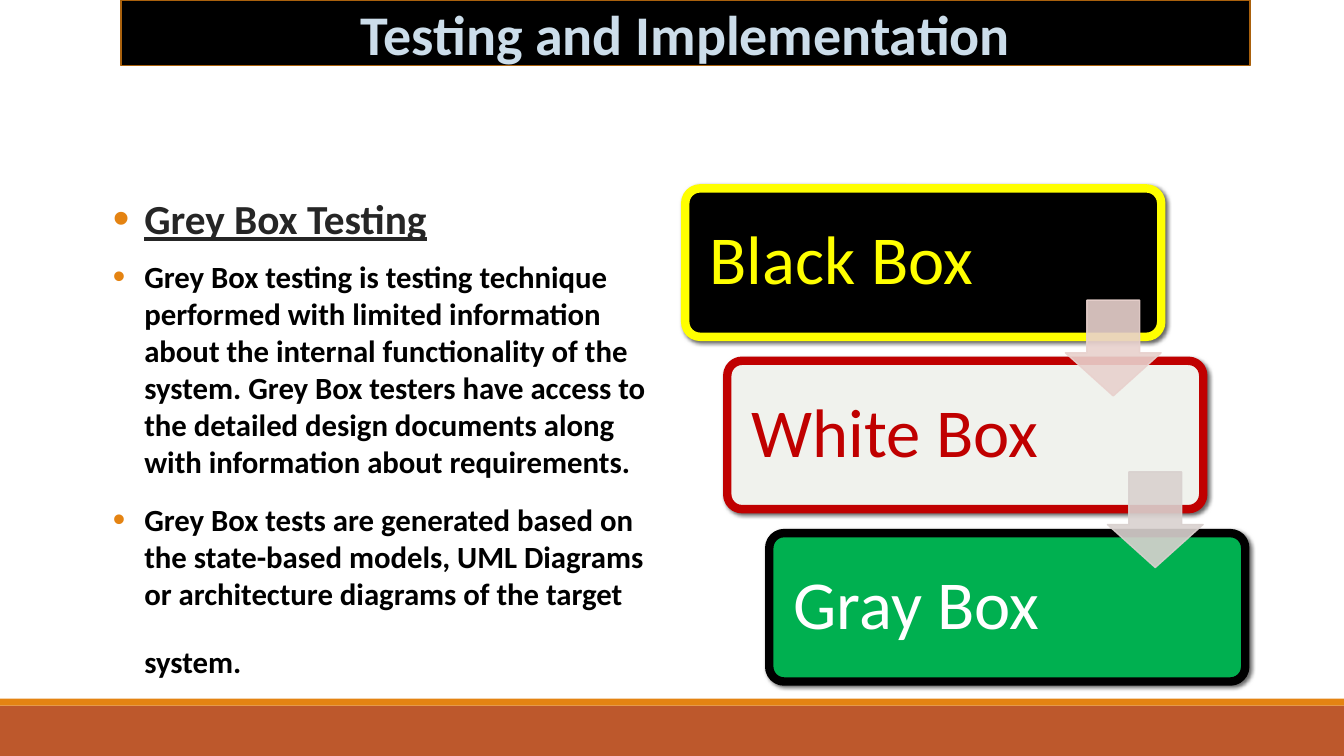
import pptx
import pptx.dml.color
import pptx.enum.shapes
import pptx.enum.text
import pptx.util
import lxml.etree

Pt = pptx.util.Pt
RGB = pptx.dml.color.RGBColor
Kind = pptx.enum.shapes.MSO_SHAPE
Align = pptx.enum.text.PP_ALIGN
Anchor = pptx.enum.text.MSO_ANCHOR
Fit = pptx.enum.text.MSO_AUTO_SIZE

BLACK = RGB(0x00, 0x00, 0x00)
WHITE = RGB(0xFF, 0xFF, 0xFF)
YELLOW = RGB(0xFF, 0xFF, 0x00)
RED = RGB(0xC0, 0x00, 0x00)
GREEN = RGB(0x00, 0xB0, 0x50)
PALE = RGB(0xF0, 0xF2, 0xED)
RUST = RGB(0xBD, 0x58, 0x2C)
ORANGE = RGB(0xE4, 0x83, 0x12)
BROWN = RGB(0xA9, 0x61, 0x0D)
SKY = RGB(0xCC, 0xDD, 0xEA)
COAL = RGB(0x26, 0x26, 0x26)
PINK = RGB(0xE8, 0xD1, 0xCD)
ASH = RGB(0xD9, 0xD1, 0xCF)

NS = "http://schemas.openxmlformats.org/drawingml/2006/main"


def add(parent, tag, **attrs):
    return lxml.etree.SubElement(parent, f"{{{NS}}}{tag}", attrs)


class Deck:
    face = "Calibri"

    def __init__(self):
        self.show = pptx.Presentation()
        self.show.slide_width = Pt(960)
        self.show.slide_height = Pt(540)
        self.slide = self.show.slides.add_slide(self.show.slide_layouts[1])

    def place(self, item, x, y, w, h):
        item.left, item.top, item.width, item.height = Pt(x), Pt(y), Pt(w), Pt(h)

    def paint(self, item, fill, line=None, width=1):
        item.fill.solid()
        item.fill.fore_color.rgb = fill
        if line is None:
            item.line.fill.background()
        else:
            item.line.color.rgb = line
            item.line.width = Pt(width)

    def style(self, font, size, color, bold=False):
        font.name = self.face
        font.size = Pt(size)
        font.color.rgb = color
        font.bold = bold

    def shape(self, kind, x, y, w, h, fill, line=None, width=1):
        item = self.slide.shapes.add_shape(kind, Pt(x), Pt(y), Pt(w), Pt(h))
        item.shadow.inherit = False
        self.paint(item, fill, line, width)
        return item

    def title(self, text, x, y, w, h):
        item = self.slide.shapes.title
        self.place(item, x, y, w, h)
        self.paint(item, BLACK, BROWN, 1.25)
        frame = item.text_frame
        frame.text = text
        frame.auto_size = Fit.NONE
        frame.vertical_anchor = Anchor.MIDDLE
        par = frame.paragraphs[0]
        par.alignment = Align.CENTER
        self.style(par.font, 40, SKY, True)

    def list(self, rows, x, y, w, h):
        item = self.slide.placeholders[1]
        self.place(item, x, y, w, h)
        frame = item.text_frame
        frame.auto_size = Fit.NONE
        frame.text = "\n".join(row[0] for row in rows)
        for par, (_, size, color, under, before) in zip(frame.paragraphs, rows):
            self.bullet(par)
            par.space_before = Pt(before)
            par.space_after = Pt(6)
            self.style(par.font, size, color, True)
            par.font.underline = under
        return frame

    def bullet(self, par):
        props = par._p.get_or_add_pPr()
        props.set("marL", str(Pt(22.5)))
        props.set("indent", str(Pt(-22.5)))
        add(add(props, "buClr"), "srgbClr", val=str(ORANGE))
        add(props, "buSzPct", val="115000")
        add(props, "buFont", typeface="Arial")
        add(props, "buChar", char="•")

    def box(self, text, x, y, fill, ink, edge):
        item = self.shape(Kind.ROUNDED_RECTANGLE, x, y, 340, 106, fill, edge, 6)
        item.adjustments[0] = 0.1
        self.shade(item)
        frame = item.text_frame
        frame.text = text
        frame.word_wrap = True
        frame.vertical_anchor = Anchor.MIDDLE
        frame.margin_left = frame.margin_right = Pt(14.4)
        frame.margin_top = frame.margin_bottom = Pt(14.4)
        par = frame.paragraphs[0]
        par.alignment = Align.LEFT
        par.line_spacing = 0.9
        self.style(par.font, 49, ink)

    def shade(self, item):
        effects = item._element.spPr.find(f"{{{NS}}}effectLst")
        cast = add(effects, "outerShdw", blurRad=str(Pt(3)), dist=str(Pt(2)),
                   dir="2700000", algn="tl", rotWithShape="0")
        add(add(cast, "srgbClr", val=str(BLACK)), "alpha", val="60000")

    def arrow(self, x, y, color):
        item = self.shape(Kind.DOWN_ARROW, x, y, 68.4, 68.4, color, color)
        item.adjustments[0] = 0.55
        item.adjustments[1] = 0.45
        for tint in item._element.spPr.findall(f".//{{{NS}}}srgbClr"):
            add(tint, "alpha", val="90000")


def main():
    deck = Deck()
    deck.shape(Kind.RECTANGLE, 0, 504, 960, 36, RUST)
    deck.shape(Kind.RECTANGLE, 0, 499, 960, 5, ORANGE)
    deck.title("Testing and Implementation", 86.4, 0, 806.4, 46.8)

    frame = deck.list([
        ("Grey Box Testing", 29.5, COAL, True, 0),
        ("Grey Box testing is testing technique performed with limited "
         "information about the internal functionality of the system. "
         "Grey Box testers have access to the detailed design documents "
         "along with information about requirements.", 22, BLACK, False, 4.5),
        ("Grey Box tests are generated based on the state-based models, "
         "UML Diagrams or architecture diagrams of the target system.",
         22, BLACK, False, 9),
    ], 73.4, 134.6, 399.6, 351.4)
    tail = frame.paragraphs[-1].add_run()
    tail.text = " "
    tail.font.size = Pt(44.4)

    boxes = [
        ("Black Box", BLACK, YELLOW, YELLOW),
        ("White Box", PALE, RED, RED),
        ("Gray Box", GREEN, WHITE, BLACK),
    ]
    for i, (text, fill, ink, edge) in enumerate(boxes):
        deck.box(text, 489.5 + 30 * i, 134.6 + 123.1 * i, fill, ink, edge)
    for i, color in enumerate([PINK, ASH]):
        deck.arrow(761 + 30 * i, 214.4 + 122.6 * i, color)

    deck.show.save("out.pptx")


if __name__ == "__main__":
    main()
